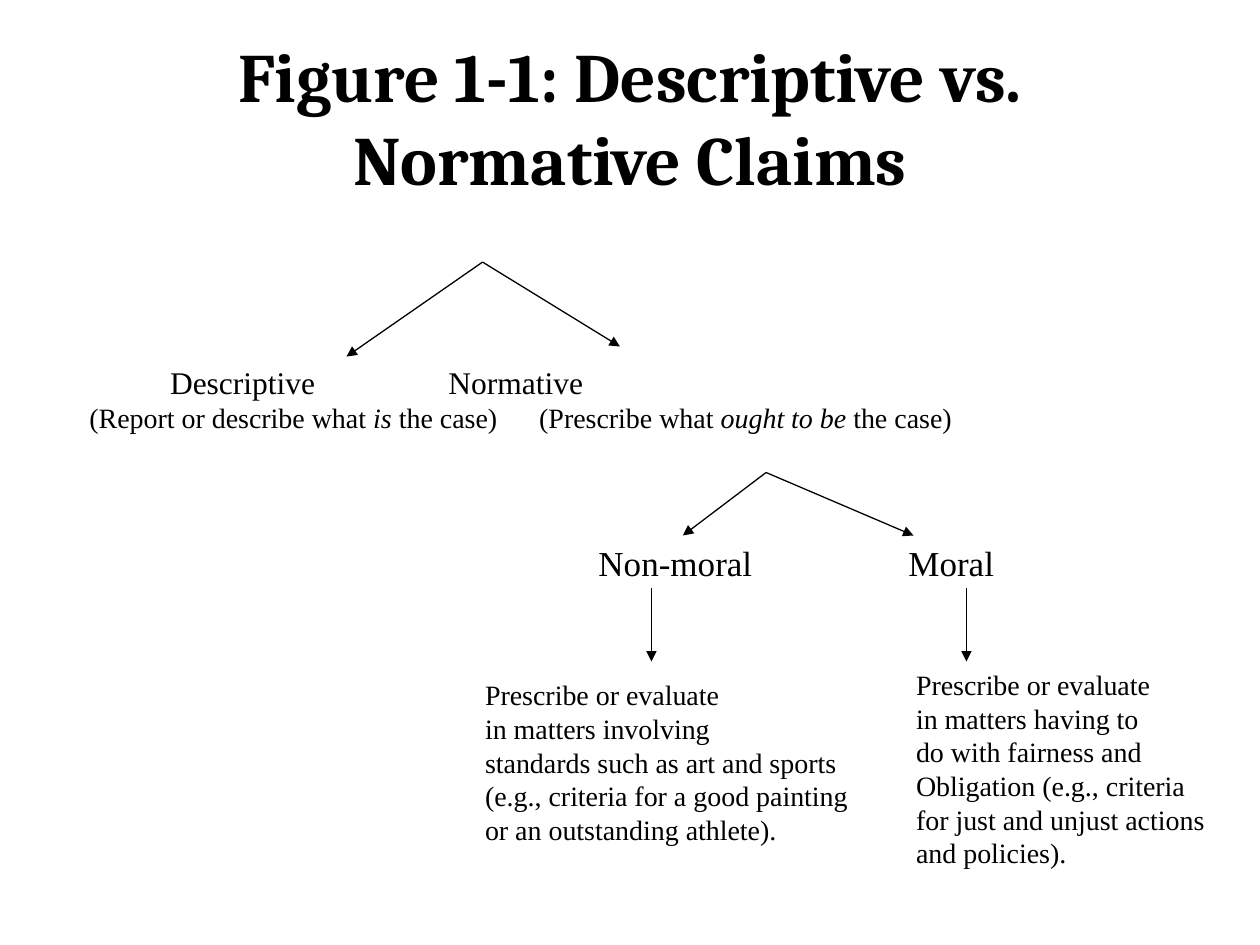
from pptx import Presentation
from pptx.dml.color import RGBColor
from pptx.enum.shapes import MSO_CONNECTOR
from pptx.enum.text import MSO_ANCHOR, PP_ALIGN
from pptx.oxml.ns import qn
from pptx.util import Inches, Pt
from lxml.etree import SubElement

COLORS = {"ink": "000000", "background": "FFFFFF"}


class ClaimsDiagram:
    """Holds the style and the slide being drawn."""

    title_font = "Cambria"
    body_font = "Times New Roman"
    ink = RGBColor.from_string(COLORS["ink"])

    def __init__(self, slide):
        self.slide = slide
        fill = slide.background.fill
        fill.solid()
        fill.fore_color.rgb = RGBColor.from_string(COLORS["background"])

    def text(self, left, top, width, height, lines, size):
        """Each line is a list of runs; a run starting with * is italic."""
        shape = self.slide.shapes.add_textbox(
            Inches(left), Inches(top), Inches(width), Inches(height))
        frame = shape.text_frame
        frame.word_wrap = True
        frame.margin_left = frame.margin_right = 0
        frame.margin_top = frame.margin_bottom = 0
        for index, runs in enumerate(lines):
            paragraph = frame.add_paragraph() if index else frame.paragraphs[0]
            paragraph.font.name = self.body_font
            paragraph.font.size = Pt(size)
            paragraph.font.color.rgb = self.ink
            for words in runs:
                run = paragraph.add_run()
                run.text = words.lstrip("*")
                if words.startswith("*"):
                    run.font.italic = True
        return frame

    def title(self, left, top, width, height, words):
        frame = self.text(left, top, width, height, [[words]], 39.6)
        frame.vertical_anchor = MSO_ANCHOR.MIDDLE
        paragraph = frame.paragraphs[0]
        paragraph.alignment = PP_ALIGN.CENTER
        paragraph.font.name = self.title_font
        paragraph.font.bold = True

    def arrow(self, start, end):
        connector = self.slide.shapes.add_connector(
            MSO_CONNECTOR.STRAIGHT, *map(Inches, start + end))
        connector.line.color.rgb = self.ink
        connector.line.width = Pt(0.75)
        SubElement(connector.line._get_or_add_ln(), qn("a:tailEnd"), type="triangle")
        SubElement(connector._element.spPr, qn("a:effectLst"))


def main():
    presentation = Presentation()
    presentation.slide_width = Inches(10)
    presentation.slide_height = Inches(7.5)
    slide = presentation.slides.add_slide(presentation.slide_layouts[6])
    diagram = ClaimsDiagram(slide)

    diagram.title(0.6, 0.3, 8.8, 1.25, "Figure 1-1: Descriptive vs. Normative Claims")

    # Branch names: left, top, size, name
    for left, top, size, name in [
        (1.35, 2.88, 18, "Descriptive"),
        (3.56, 2.88, 18, "Normative"),
        (4.75, 4.3, 20, "Non-moral"),
        (7.21, 4.3, 20, "Moral"),
    ]:
        diagram.text(left, top, 1.5, 0.32, [[name]], size)

    # What the two kinds of claim do
    for left, runs in [
        (0.71, ["(Report or describe what ", "*is", " the case)"]),
        (4.28, ["(Prescribe what ", "*ought to be ", "the case)"]),
    ]:
        diagram.text(left, 3.18, 3.4, 0.27, [runs], 16)

    # Explanations of the normative claims
    diagram.text(3.85, 5.38, 3.1, 1.35, [
        ["Prescribe or evaluate"],
        ["in matters involving"],
        ["standards such as art and sports"],
        ["(e.g., criteria for a good painting"],
        ["or an outstanding athlete)."],
    ], 16)
    diagram.text(7.27, 5.3, 2.32, 1.6, [
        ["Prescribe or evaluate"],
        ["in matters having to"],
        ["do with fairness and"],
        ["Obligation (e.g., criteria for just and unjust actions and policies)."],
    ], 16)

    # Forks from a shared point, then the arrows down to the explanations
    for start, ends in [
        ((3.83, 2.08), [(2.75, 2.83), (4.92, 2.75)]),
        ((6.08, 3.75), [(5.42, 4.25), (7.25, 4.25)]),
        ((5.17, 4.67), [(5.17, 5.25)]),
        ((7.67, 4.67), [(7.67, 5.25)]),
    ]:
        for end in ends:
            diagram.arrow(start, end)

    presentation.save("out.pptx")


if __name__ == "__main__":
    main()
